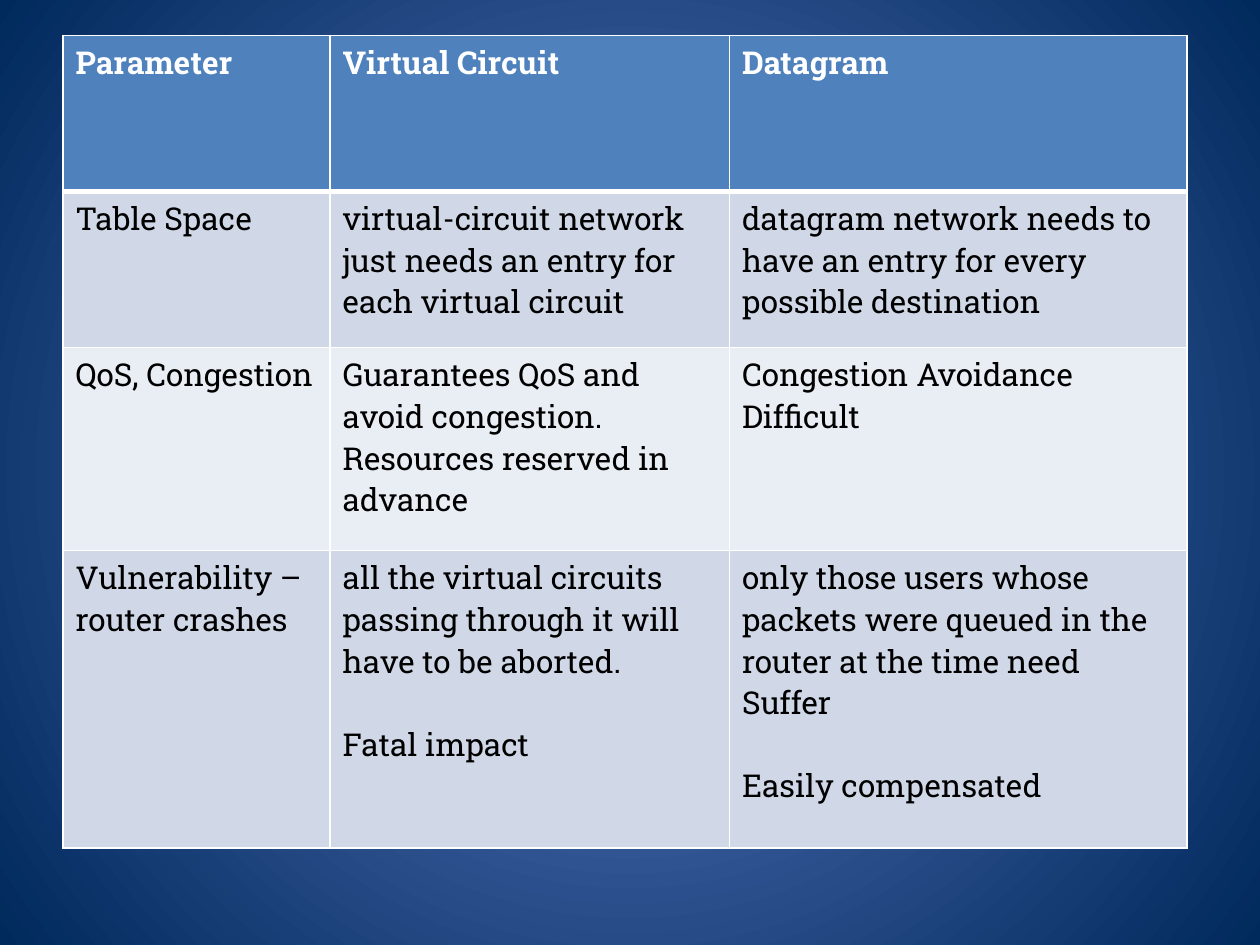
from dataclasses import dataclass

from lxml import etree
from pptx import Presentation
from pptx.dml.color import RGBColor
from pptx.oxml.ns import qn
from pptx.slide import Slide
from pptx.table import Table, _Cell
from pptx.util import Inches, Pt

BLANK_LAYOUT = 6
SLIDE_WIDTH = Inches(10)
SLIDE_HEIGHT = Inches(7.5)


@dataclass(frozen=True)
class Theme:
    font: str = "Roboto Slab"
    text_size: float = 18
    paragraph_gap: float = 23.8
    thin_border: float = 1
    thick_border: float = 3
    border: str = "FFFFFF"
    header_fill: str = "4F81BD"
    header_text: str = "FFFFFF"
    body_text: str = "000000"
    band_fills: tuple[str, str] = ("D0D8E8", "E9EDF4")
    glow: str = "5E7CC5"
    edge: str = "00295C"


@dataclass(frozen=True)
class Grid:
    left: float
    top: float
    columns: tuple[float, ...]
    rows: tuple[float, ...]


@dataclass(frozen=True)
class Line:
    text: str
    gap_before: bool = False


@dataclass(frozen=True)
class Comparison:
    parameter: tuple[Line, ...]
    virtual_circuit: tuple[Line, ...]
    datagram: tuple[Line, ...]


THEME = Theme()
GRID = Grid(5, 3.73, (21.2, 31.7, 36.3), (16.53, 16.53, 21.47, 31.47))
COMPARISONS = (
    Comparison((Line("Parameter"),), (Line("Virtual Circuit"),), (Line("Datagram"),)),
    Comparison(
        (Line("Table Space"),),
        (Line("virtual-circuit network just needs an entry for each virtual circuit"),),
        (Line("datagram network needs to have an entry for every possible destination"),),
    ),
    Comparison(
        (Line("QoS, Congestion"),),
        (Line("Guarantees QoS and avoid congestion. Resources reserved in advance"),),
        (Line("Congestion Avoidance Difficult"),),
    ),
    Comparison(
        (Line("Vulnerability – router crashes"),),
        (
            Line("all the virtual circuits"),
            Line("passing through it will have to be aborted."),
            Line("Fatal impact", gap_before=True),
        ),
        (
            Line("only those users whose packets were queued in the router at the time need"),
            Line("Suffer"),
            Line("Easily compensated", gap_before=True),
        ),
    ),
)


def across(percent: float) -> int:
    return round(SLIDE_WIDTH * percent / 100)


def down(percent: float) -> int:
    return round(SLIDE_HEIGHT * percent / 100)


def paint_background(slide: Slide) -> None:
    fill = slide.background.fill
    fill.gradient()
    for stop, color, position in zip(fill.gradient_stops, (THEME.glow, THEME.edge), (0, 1)):
        stop.color.rgb = RGBColor.from_string(color)
        stop.position = position
    gradient = slide.element.find(".//" + qn("a:gradFill"))
    gradient.remove(gradient.find(qn("a:lin")))
    radial = etree.SubElement(gradient, qn("a:path"), {"path": "circle"})
    center = dict.fromkeys("ltrb", "50000")
    etree.SubElement(radial, qn("a:fillToRect"), center)


def draw_borders(cell: _Cell, row: int) -> None:
    widths = dict.fromkeys(("lnL", "lnR", "lnT", "lnB"), THEME.thin_border)
    if row == 0:
        widths["lnB"] = THEME.thick_border
    elif row == 1:
        widths["lnT"] = THEME.thick_border
    properties = cell._tc.get_or_add_tcPr()
    for side, width in widths.items():
        line = etree.SubElement(properties, qn(f"a:{side}"), {"w": str(Pt(width))})
        solid = etree.SubElement(line, qn("a:solidFill"))
        etree.SubElement(solid, qn("a:srgbClr"), {"val": THEME.border})


def write_lines(cell: _Cell, lines: tuple[Line, ...], is_header: bool) -> None:
    font_format = {"name": THEME.font, "size": Pt(THEME.text_size), "bold": is_header}
    color = THEME.header_text if is_header else THEME.body_text
    cell.text = "\n".join(line.text for line in lines)
    for paragraph, line in zip(cell.text_frame.paragraphs, lines):
        if line.gap_before:
            paragraph.space_before = Pt(THEME.paragraph_gap)
        font = paragraph.runs[0].font
        for name, value in font_format.items():
            setattr(font, name, value)
        font.color.rgb = RGBColor.from_string(color)


def fill_row(table: Table, row: int, comparison: Comparison) -> None:
    is_header = row == 0
    fill_color = THEME.header_fill if is_header else THEME.band_fills[(row - 1) % 2]
    contents = (comparison.parameter, comparison.virtual_circuit, comparison.datagram)
    for column, lines in enumerate(contents):
        cell = table.cell(row, column)
        draw_borders(cell, row)
        cell.fill.solid()
        cell.fill.fore_color.rgb = RGBColor.from_string(fill_color)
        write_lines(cell, lines, is_header)


def add_comparison_table(slide: Slide) -> None:
    table = slide.shapes.add_table(
        len(GRID.rows), len(GRID.columns),
        across(GRID.left), down(GRID.top),
        across(sum(GRID.columns)), down(sum(GRID.rows)),
    ).table
    for column, width in zip(table.columns, GRID.columns):
        column.width = across(width)
    for row, height in zip(table.rows, GRID.rows):
        row.height = down(height)
    for row, comparison in enumerate(COMPARISONS):
        fill_row(table, row, comparison)


def main() -> None:
    presentation = Presentation()
    presentation.slide_width = SLIDE_WIDTH
    presentation.slide_height = SLIDE_HEIGHT
    slide = presentation.slides.add_slide(presentation.slide_layouts[BLANK_LAYOUT])
    paint_background(slide)
    add_comparison_table(slide)
    presentation.save("out.pptx")


if __name__ == "__main__":
    main()
